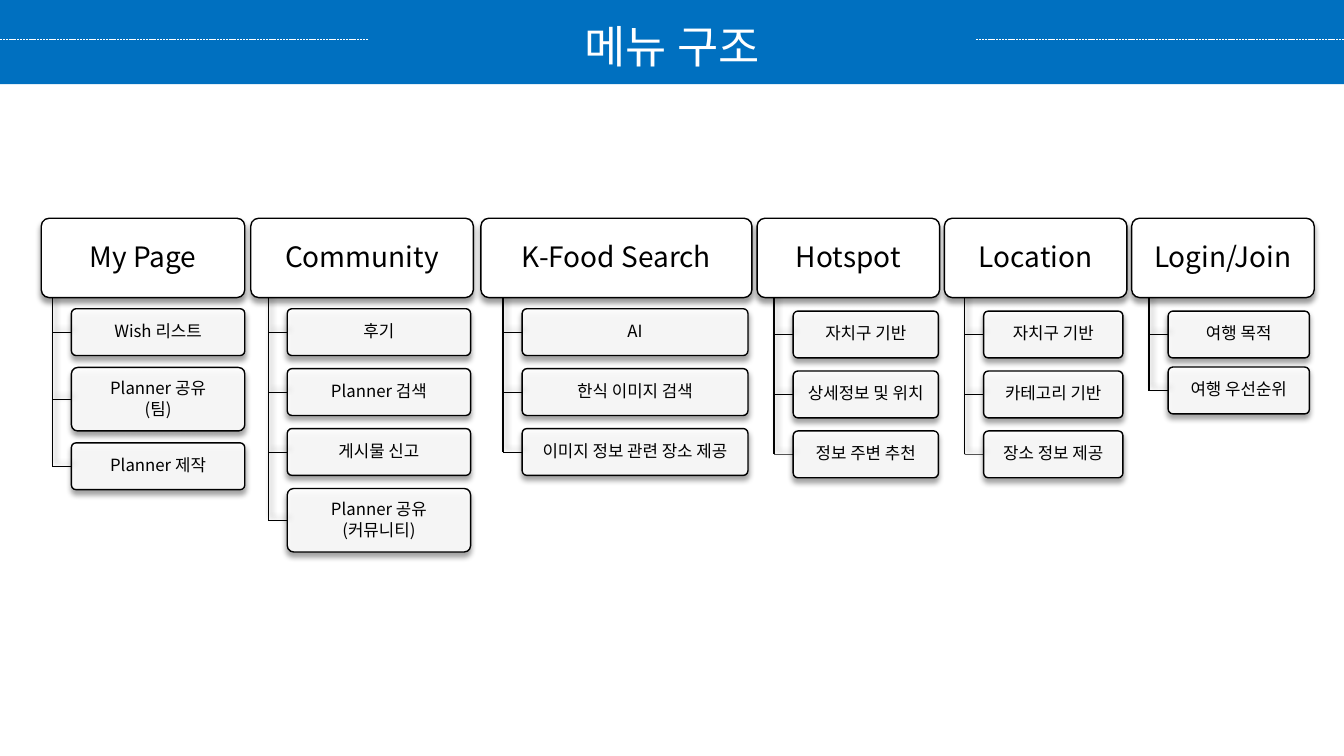
from lxml.etree import SubElement
from pptx import Presentation
from pptx.dml.color import RGBColor
from pptx.enum.dml import MSO_LINE as Dash
from pptx.enum.shapes import MSO_CONNECTOR as Conn, MSO_SHAPE as Shape
from pptx.enum.text import MSO_ANCHOR as Anchor, MSO_AUTO_SIZE as Fit, PP_ALIGN as Align
from pptx.oxml.ns import qn
from pptx.util import Cm, Pt

BLUE = RGBColor(0x00, 0x70, 0xC0)
WHITE = RGBColor(0xFF, 0xFF, 0xFF)
BLACK = RGBColor(0x00, 0x00, 0x00)
FONT = "Noto Sans CJK KR"
WIDE, HIGH = 33.87, 19.05
HEAD_TOP, HEAD_H = 5.5, 2.0
ITEM_H, TALL_H = 1.18, 1.6
STUB = 0.48

# name, head left, head width, item left, item width, first top, gap, items
MENUS = [
    ("My Page", 1.04, 5.13, 1.8, 4.37, 7.78, 0.3,
     ["Wish 리스트", "Planner 공유\n(팀)", "Planner 제작"]),
    ("Community", 6.32, 5.61, 7.24, 4.62, 7.78, 0.33,
     ["후기", "Planner 검색", "게시물 신고", "Planner 공유\n(커뮤니티)"]),
    ("K-Food Search", 12.12, 6.83, 13.16, 5.69, 7.78, 0.33,
     ["AI", "한식 이미지 검색", "이미지 정보 관련 장소 제공"]),
    ("Hotspot", 19.08, 4.6, 19.99, 3.66, 7.84, 0.33,
     ["자치구 기반", "상세정보 및 위치", "정보 주변 추천"]),
    ("Location", 23.8, 4.6, 24.79, 3.51, 7.84, 0.33,
     ["자치구 기반", "카테고리 기반", "장소 정보 제공"]),
    ("Login/Join", 28.52, 4.6, 29.44, 3.56, 7.84, 0.23,
     ["여행 목적", "여행 우선순위"]),
]


class Deck:
    """Holds the slide and draws its elements, with lengths in centimetres."""

    def __init__(self):
        self.prs = Presentation()
        self.prs.slide_width, self.prs.slide_height = Cm(WIDE), Cm(HIGH)
        self.slide = self.prs.slides.add_slide(self.prs.slide_layouts[5])
        self.shapes = self.slide.shapes

    def shade(self, shape, angle=None):
        """Give the shape a soft shadow, or none when there is no angle."""
        effects = SubElement(shape.element.spPr, qn("a:effectLst"))
        if angle is None:
            return
        cast = SubElement(effects, qn("a:outerShdw"), blurRad=str(Pt(4)),
                          dist=str(Pt(3)), dir=str(angle * 60000), rotWithShape="0")
        color = SubElement(cast, qn("a:srgbClr"), val=str(BLACK))
        SubElement(color, qn("a:alpha"), val="40000")

    def label(self, frame, text, size, color, space, after=0):
        frame.text = text
        frame.word_wrap = True
        for para in frame.paragraphs:
            para.alignment = Align.CENTER
            para.line_spacing = space
            para.space_before, para.space_after = Pt(0), Pt(after)
            font = para.font
            font.name, font.size = FONT, Pt(size)
            font.color.rgb = color
            props = para._p.find(".//" + qn("a:defRPr"))
            SubElement(props, qn("a:ea"), typeface=FONT)

    def banner(self):
        bar = self.shapes.add_shape(Shape.RECTANGLE, 0, 0, Cm(WIDE), Cm(2.12))
        bar.shadow.inherit = False
        bar.fill.solid()
        bar.fill.fore_color.rgb = BLUE
        bar.line.fill.background()
        for start, end in ((0, 9.27), (24.6, WIDE)):
            rule = self.line(start, 0.98, end, 0.98, 0.5, WHITE)
            rule.line.dash_style = Dash.SQUARE_DOT
            self.shade(rule)

    def title(self, text):
        title = self.shapes.title
        title.left, title.top = Cm(11.58), Cm(-0.33)
        title.width, title.height = Cm(10.72), Cm(2.06)
        frame = title.text_frame
        frame.auto_size = Fit.NONE
        frame.vertical_anchor = Anchor.TOP
        self.label(frame, text, 32, WHITE, 1.5)
        title.element.getparent().append(title.element)

    def line(self, x1, y1, x2, y2, weight, color=BLACK):
        line = self.shapes.add_connector(Conn.STRAIGHT, Cm(x1), Cm(y1), Cm(x2), Cm(y2))
        line.line.color.rgb = color
        line.line.width = Pt(weight)
        return line

    def box(self, left, top, width, height, text, size, alpha=100):
        box = self.shapes.add_shape(
            Shape.ROUNDED_RECTANGLE, Cm(left), Cm(top), Cm(width), Cm(height))
        box.adjustments[0] = 0.1
        box.fill.solid()
        box.fill.fore_color.rgb = WHITE
        if alpha < 100:
            color = box.element.spPr.find(".//" + qn("a:srgbClr"))
            SubElement(color, qn("a:alpha"), val=str(alpha * 1000))
        box.line.color.rgb = BLACK
        box.line.width = Pt(1)
        self.shade(box, 90)
        frame = box.text_frame
        frame.margin_left = frame.margin_right = Cm(0.13)
        frame.margin_top = frame.margin_bottom = Cm(0.1)
        frame.vertical_anchor = Anchor.MIDDLE
        self.label(frame, text, size, BLACK, 0.9, 2)
        return box

    def menu(self, name, left, width, item_x, item_w, top, gap, items):
        """Draw one menu: its head, its items and the lines between them."""
        trunk_x = item_x - STUB
        for text in items:
            height = TALL_H if "\n" in text else ITEM_H
            mid = top + height / 2
            item = self.box(item_x, top, item_w, height, text, 12, 90)
            stub = self.line(trunk_x, mid, item_x, mid, 0.5)
            stub.end_connect(item, 1)
            self.shade(stub, 315)
            top += height + gap
        trunk = self.line(trunk_x, HEAD_TOP + HEAD_H, trunk_x, mid, 1)
        self.shade(trunk, 315)
        self.box(left, HEAD_TOP, width, HEAD_H, name, 20)


def main():
    deck = Deck()
    deck.banner()
    deck.title("메뉴 구조")
    for menu in MENUS:
        deck.menu(*menu)
    deck.prs.save("out.pptx")


if __name__ == "__main__":
    main()
